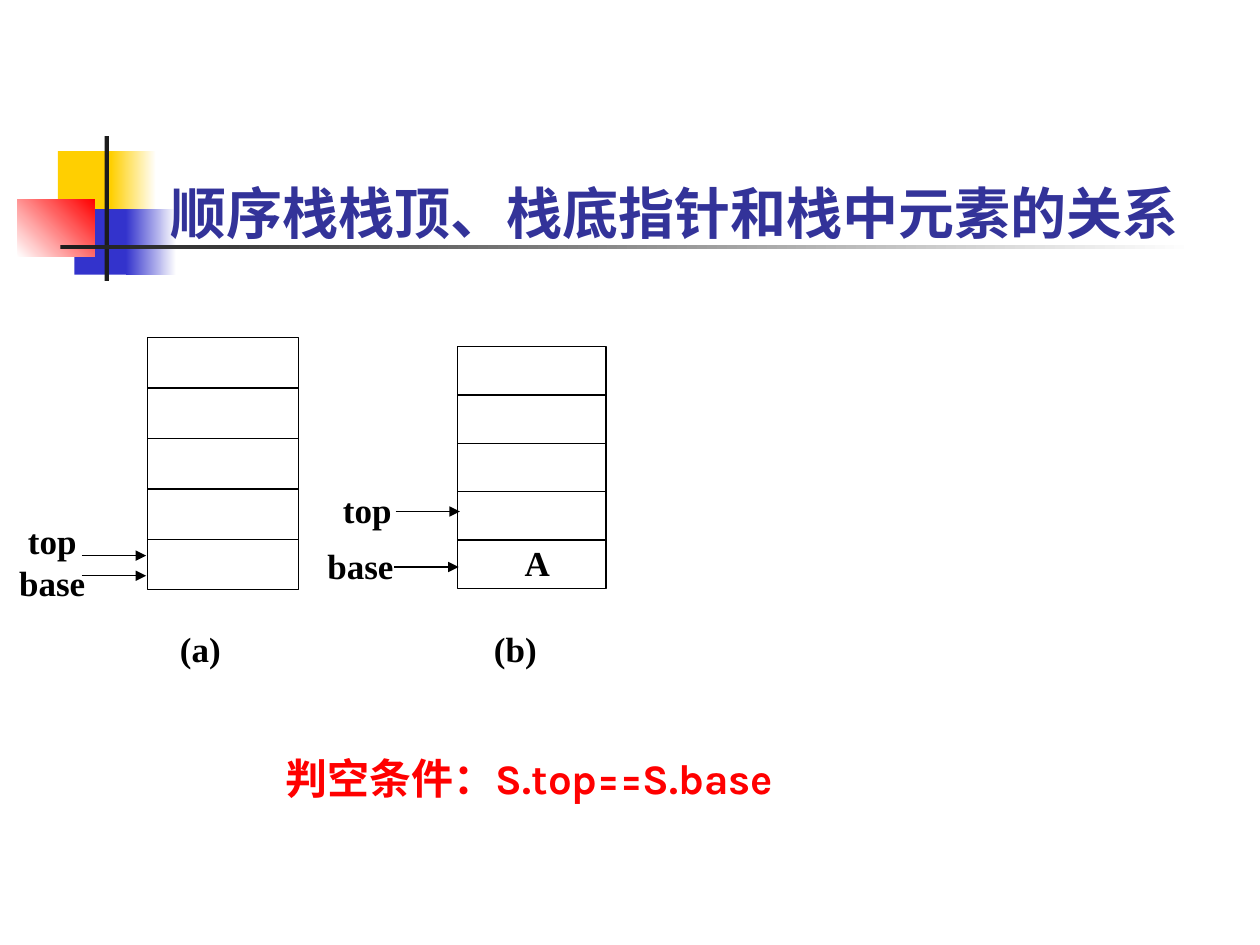
from lxml.etree import SubElement
from pptx import Presentation
from pptx.dml.color import RGBColor
from pptx.enum.shapes import MSO_CONNECTOR as Connector, MSO_SHAPE as Preset
from pptx.enum.text import MSO_ANCHOR as Anchor, MSO_AUTO_SIZE as AutoSize, PP_ALIGN as Align
from pptx.oxml.ns import qn
from pptx.util import Inches, Pt

presentation = Presentation()
presentation.slide_width, presentation.slide_height = Inches(10), Inches(7.5)
slide = presentation.slides.add_slide(presentation.slide_layouts[5])
shapes = slide.shapes
color = RGBColor.from_string
cell = presentation.slide_width / 100


def grid(*counts):
    return [round(count * cell) for count in counts]


def write(shape, text, font_name, size, hex_color, align):
    frame = shape.text_frame
    frame.text = text
    for paragraph in frame.paragraphs:
        paragraph.alignment = align
        font = paragraph.font
        font.name, font.size, font.bold = font_name, Pt(size), True
        font.color.rgb = color(hex_color)
        for run in paragraph.runs:
            east_asian = SubElement(run._r.get_or_add_rPr(), qn("a:ea"))
            east_asian.set("typeface", "Noto Sans CJK SC")


ornaments = [
    (4.6, 12, 4.8, 5.2, ["FFCF01"], 0),
    (8.8, 12, 3.6, 5.2, ["FFCF01", "FFFFFF"], 0),
    (5.9, 16.6, 4.6, 5.2, ["3333CC"], 0),
    (10, 16.6, 4, 5.2, ["3333CC", "FFFFFF"], 0),
    (1.4, 15.8, 6.1, 4.6, ["FFFFFF", "FF0000"], 45),
    (8.3, 10.8, 0.35, 11.5, ["1C1C1C"], 0),
    (4.8, 19.45, 90, 0.35, ["1C1C1C", "FFFFFF"], 0),
]
for left, top, width, height, colors, angle in ornaments:
    ornament = shapes.add_shape(Preset.RECTANGLE, *grid(left, top, width, height))
    ornament.shadow.inherit = False
    ornament.line.fill.background()
    if len(colors) == 1:
        ornament.fill.solid()
        ornament.fill.fore_color.rgb = color(colors[0])
    else:
        ornament.fill.gradient()
        ornament.fill.gradient_angle = angle
        for stop, hex_color in zip(ornament.fill.gradient_stops, colors):
            stop.color.rgb = color(hex_color)

title = shapes.title
title.left, title.top, title.width, title.height = grid(12.5, 12.5, 85, 7.5)
title.text_frame.vertical_anchor = Anchor.BOTTOM
title.text_frame.auto_size = AutoSize.NONE
write(title, "顺序栈栈顶、栈底指针和栈中元素的关系", "Noto Sans CJK SC", 32, "333399", Align.LEFT)
shapes._spTree.append(title._element)

slots = 5
lines = []
for left, top, width, height in [(11.7, 26.8, 12, 20), (36.3, 27.5, 11.8, 19.2)]:
    stack = shapes.add_shape(Preset.RECTANGLE, *grid(left, top, width, height))
    stack.shadow.inherit = False
    stack.fill.solid()
    stack.fill.fore_color.rgb = color("FFFFFF")
    stack.line.color.rgb = color("000000")
    stack.line.width = Pt(0.75)
    for slot in range(1, slots):
        divider = top + height * slot / slots
        lines.append((left, left + width, divider, False))

pointers = [(6.5, 44.1), (6.5, 45.7), (31.4, 40.6), (31.3, 45)]
lines += [(start, start + 5.1, level, True) for start, level in pointers]
for start, end, level, is_pointer in lines:
    connector = shapes.add_connector(Connector.STRAIGHT, *grid(start, level, end, level))
    connector.line.color.rgb = color("000000")
    connector.line.width = Pt(0.75)
    if is_pointer:
        SubElement(connector.line._get_or_add_ln(), qn("a:tailEnd")).set("type", "triangle")
    SubElement(connector._element.spPr, qn("a:effectLst"))

serif, sans = "Times New Roman", "Karla"
labels = [
    (0, 40.7, 8.3, 4.8, "top\nbase", serif, 20, "000000", Align.CENTER),
    (12.5, 49.3, 6.8, 4, "(a)", serif, 20, "000000", Align.CENTER),
    (37.5, 49.3, 6.8, 4, "(b)", serif, 20, "000000", Align.CENTER),
    (25, 38.3, 8.3, 2.3, "top", serif, 20, "000000", Align.CENTER),
    (25, 42.7, 8.3, 4.4, "base", serif, 20, "000000", Align.LEFT),
    (40, 42.5, 5.3, 2.4, "A", serif, 20, "000000", Align.CENTER),
    (21.7, 59.2, 42.2, 5, "判空条件：S.top==S.base", sans, 24, "FF0000", Align.LEFT),
]
for left, top, width, height, *content in labels:
    label = shapes.add_textbox(*grid(left, top, width, height))
    label.text_frame.word_wrap = True
    write(label, *content)

presentation.save("out.pptx")
